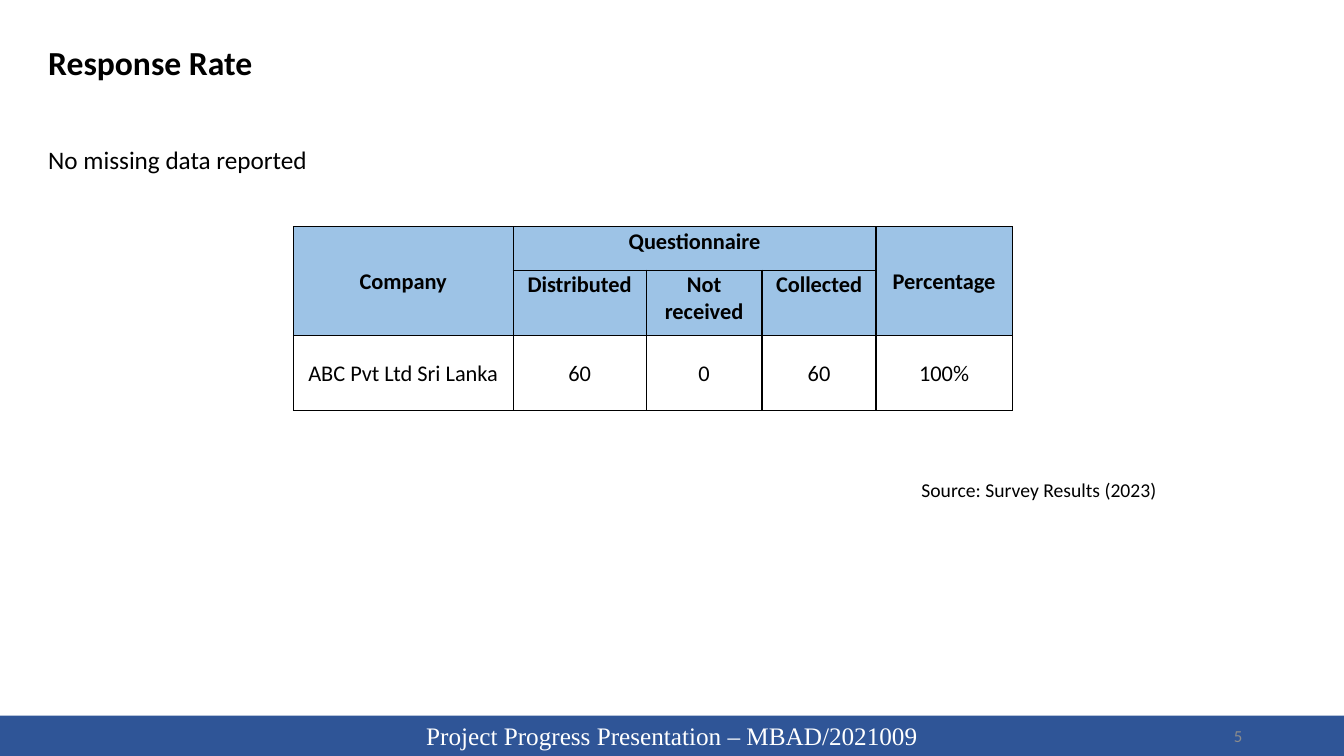
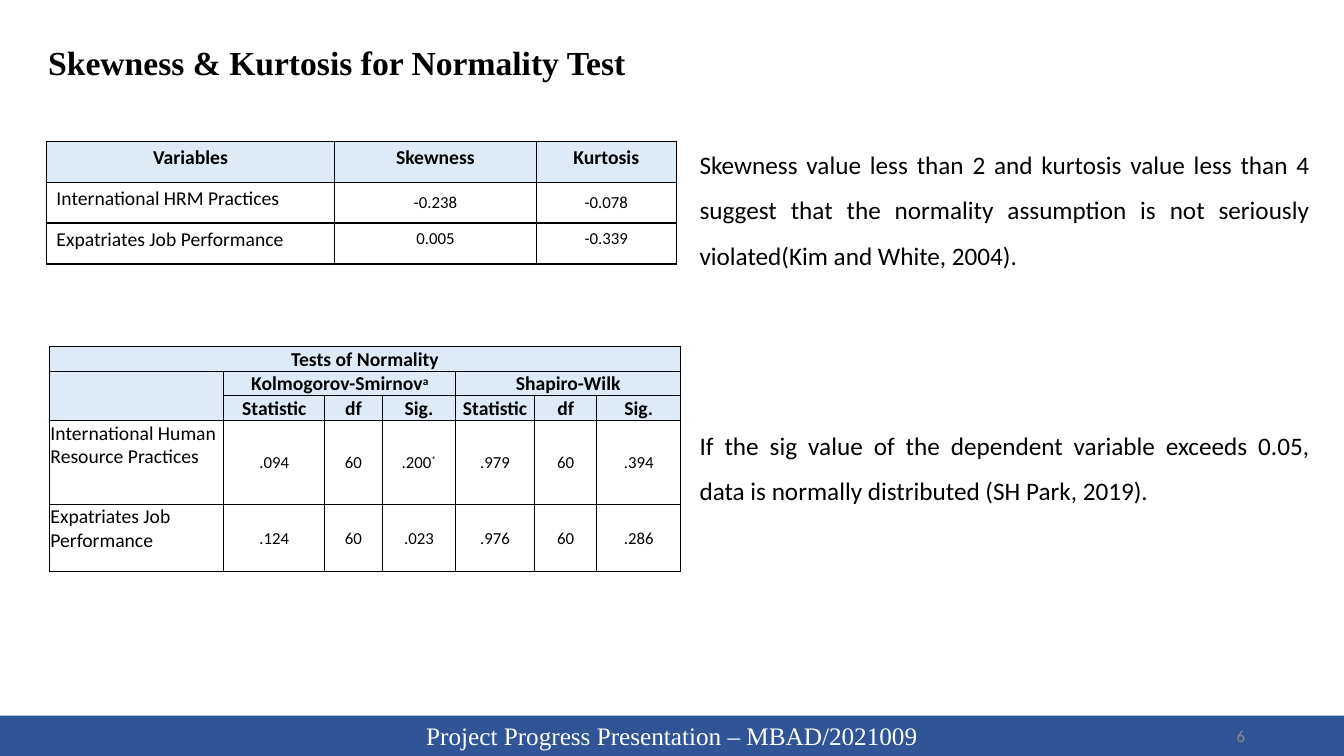
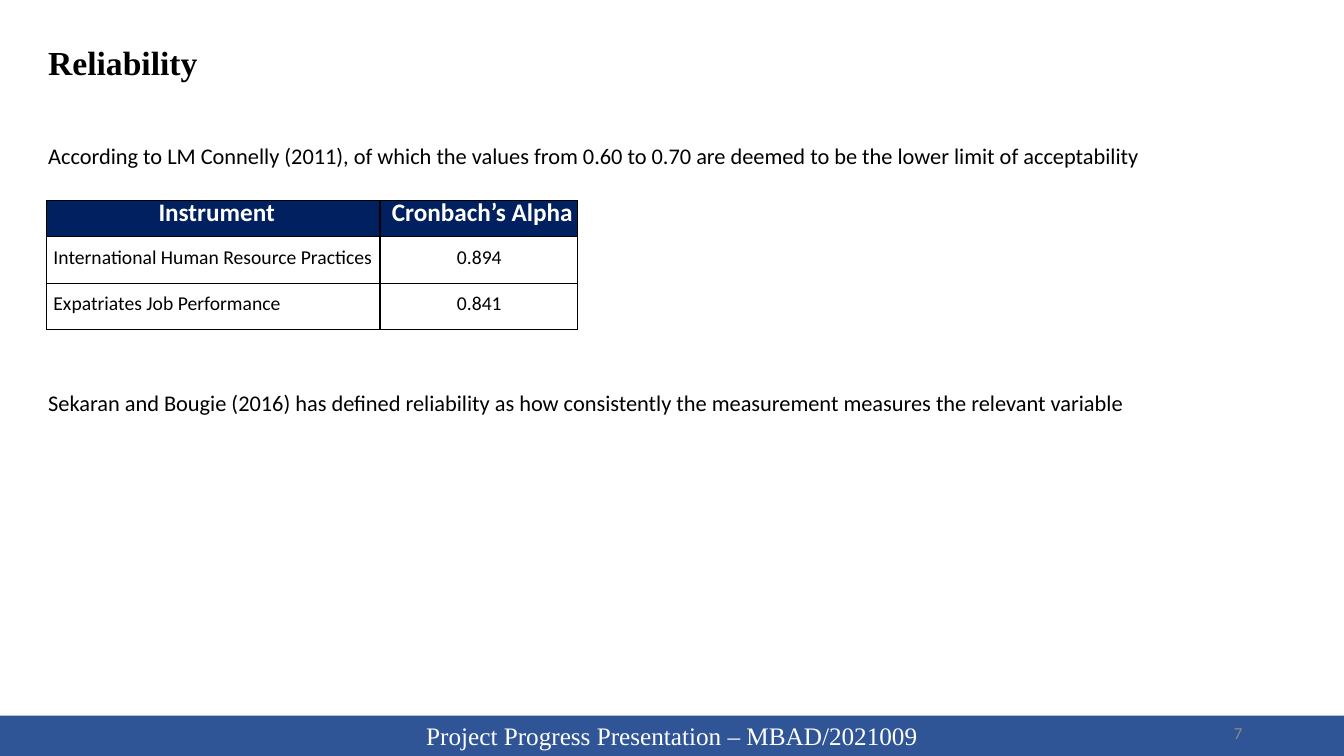
from dataclasses import dataclass, replace
from typing import Optional

from lxml.etree import SubElement
from pptx import Presentation
from pptx.dml.color import RGBColor
from pptx.enum.shapes import MSO_SHAPE
from pptx.enum.text import MSO_ANCHOR as Anchor, PP_ALIGN as Align
from pptx.oxml.ns import qn
from pptx.util import Inches, Pt

# Colours and fonts
BLACK = RGBColor(0x00, 0x00, 0x00)
WHITE = RGBColor(0xFF, 0xFF, 0xFF)
GREY = RGBColor(0x8C, 0x8C, 0x8C)
FOOTER_BLUE = RGBColor(0x2F, 0x55, 0x97)
MID_BLUE = RGBColor(0x9D, 0xC3, 0xE6)
PALE_BLUE = RGBColor(0xDE, 0xEB, 0xF7)
NAVY = RGBColor(0x00, 0x20, 0x60)
SANS = "Calibri"
SERIF = "Times New Roman"

# Grid of 100 columns by 100 rows
SLIDE_W, SLIDE_H = Inches(13.33), Inches(7.5)
MARGIN = 2.85
FOOTER_TOP, FOOTER_H = 94.67, 5.33
TIGHT = (0.01, 0.01, 0.01, 0)
NORMAL = (0.1, 0.05, 0.1, 0.05)
NONE = (0, 0, 0, 0)


def gx(cols: float) -> int:
    return round(cols * SLIDE_W / 100)


def gy(rows: float) -> int:
    return round(rows * SLIDE_H / 100)


@dataclass(frozen=True)
class Style:
    size: float
    font: str = SANS
    color: RGBColor = BLACK
    bold: bool = False
    align: Align = Align.LEFT
    spacing: Optional[float] = None
    before: float = 0
    indent: float = 0


@dataclass(frozen=True)
class Box:
    left: float
    top: float
    width: float
    height: float


@dataclass(frozen=True)
class Cell:
    text: str
    style: Style
    anchor: Anchor = Anchor.MIDDLE
    fill: Optional[RGBColor] = None
    sup: str = ""
    rows: int = 1
    cols: int = 1


@dataclass(frozen=True)
class Grid:
    left: float
    top: float
    cols: tuple
    rows: tuple
    insets: tuple
    cells: list


TITLE = Style(24, SERIF, bold=True)
BODY = Style(18, align=Align.JUSTIFY, spacing=1.5)
NOTE = replace(BODY, size=16)


# Text
def add_run(p, text: str, st: Style, raised: bool = False) -> None:
    r = p.add_run()
    r.text = text
    f = r.font
    f.size, f.name, f.bold = Pt(st.size), st.font, st.bold
    f.color.rgb = st.color
    if raised:
        r._r.get_or_add_rPr().set("baseline", "30000")


def fill_paragraph(p, text: str, st: Style, sup: str = "") -> None:
    p.alignment = st.align
    p.space_before = Pt(st.before)
    if st.spacing:
        p.line_spacing = st.spacing
    if st.indent:
        p._p.get_or_add_pPr().set("marL", str(Inches(st.indent)))
    if text:
        add_run(p, text, st)
    if sup:
        add_run(p, sup, st, raised=True)


def add_text(s, box: Box, *paras: tuple, anchor: Anchor = Anchor.TOP) -> None:
    sp = s.shapes.add_textbox(gx(box.left), gy(box.top), gx(box.width), gy(box.height))
    tf = sp.text_frame
    tf.word_wrap = True
    tf.vertical_anchor = anchor
    for i, (text, st) in enumerate(paras):
        fill_paragraph(tf.add_paragraph() if i else tf.paragraphs[0], text, st)


# Tables
def add_borders(cell) -> None:
    tc_pr = cell._tc.get_or_add_tcPr()
    for i, side in enumerate(("lnL", "lnR", "lnT", "lnB")):
        ln = SubElement(tc_pr, qn(f"a:{side}"), w=str(Pt(1)))
        SubElement(SubElement(ln, qn("a:solidFill")), qn("a:srgbClr"), val=str(BLACK))
        tc_pr.insert(i, ln)


def add_grid(s, g: Grid) -> None:
    frame = s.shapes.add_table(len(g.rows), len(g.cols), gx(g.left), gy(g.top),
                               gx(sum(g.cols)), gy(sum(g.rows)))
    tbl = frame.table
    tbl.first_row = tbl.horz_banding = False
    for col, width in zip(tbl.columns, g.cols):
        col.width = gx(width)
    for row, height in zip(tbl.rows, g.rows):
        row.height = gy(height)
    for i, row in enumerate(g.cells):
        for j, c in enumerate(row):
            cell = tbl.cell(i, j)
            (cell.margin_left, cell.margin_top,
             cell.margin_right, cell.margin_bottom) = map(Inches, g.insets)
            if c is None:
                cell.fill.background()
            else:
                if c.rows * c.cols > 1:
                    cell.merge(tbl.cell(i + c.rows - 1, j + c.cols - 1))
                cell.vertical_anchor = c.anchor
                if c.fill is None:
                    cell.fill.background()
                else:
                    cell.fill.solid()
                    cell.fill.fore_color.rgb = c.fill
                fill_paragraph(cell.text_frame.paragraphs[0], c.text, c.style, c.sup)
            add_borders(cell)


# Slide frame: footer band and page number
def new_slide(prs, number: str, num_left: float = 70.67, num_top: float = FOOTER_TOP):
    s = prs.slides.add_slide(prs.slide_layouts[6])
    sp = s.shapes.add_shape(MSO_SHAPE.RECTANGLE, 0, gy(FOOTER_TOP), SLIDE_W, gy(FOOTER_H))
    sp.shadow.inherit = False
    sp.fill.solid()
    sp.fill.fore_color.rgb = FOOTER_BLUE
    sp.line.fill.background()
    fill_paragraph(sp.text_frame.paragraphs[0], "Project Progress Presentation – MBAD/2021009",
                   Style(18, SERIF, WHITE, align=Align.CENTER))
    add_text(s, Box(num_left, num_top, 22.5, FOOTER_H),
             (number, Style(12, color=GREY, align=Align.RIGHT)), anchor=Anchor.MIDDLE)
    return s


def title_box(height: float) -> Box:
    return Box(MARGIN, 4.93, 95.35, height)


def response_rate(prs) -> None:
    s = new_slide(prs, "5")
    add_text(s, title_box(55.2), ("Response Rate", replace(TITLE, font=SANS)),
             ("No missing data reported", replace(BODY, before=33)))
    value = Style(16, align=Align.CENTER)
    head = replace(value, bold=True)
    labels = ("Distributed", "Not received", "Collected")
    values = ("ABC Pvt Ltd Sri Lanka", "60", "0", "60", "100%")
    add_grid(s, Grid(21.83, 30, (16.35, 9.9, 8.63, 8.48, 10.13), (5.73, 8.67, 9.87), TIGHT, [
        [Cell("Company", head, fill=MID_BLUE, rows=2),
         Cell("Questionnaire", head, Anchor.TOP, MID_BLUE, cols=3), None, None,
         Cell("Percentage", head, fill=MID_BLUE, rows=2)],
        [None, *(Cell(t, head, Anchor.TOP, MID_BLUE) for t in labels), None],
        [Cell(t, value, fill=WHITE) for t in values],
    ]))
    add_text(s, Box(67.82, 62.53, 24, 4.53), ("Source: Survey Results (2023)", Style(14)))


def normality(prs) -> None:
    s = new_slide(prs, "6", num_left=70.89)
    add_text(s, title_box(49.2), ("Skewness & Kurtosis for Normality Test", TITLE))
    label = Style(14)
    head = Style(14, bold=True, align=Align.CENTER)
    value = Style(12, align=Align.CENTER)

    # Skewness and kurtosis
    measures = (
        ("International HRM Practices", ("-0.238", "-0.078"), Anchor.MIDDLE),
        ("Expatriates Job Performance", ("0.005", "-0.339"), Anchor.TOP),
    )
    add_grid(s, Grid(3.45, 18.67, (21.45, 15, 10.43), (5.42,) * 3, NORMAL, [
        [Cell(t, head, Anchor.TOP, PALE_BLUE) for t in ("Variables", "Skewness", "Kurtosis")],
        *([Cell(name, label, Anchor.TOP), *(Cell(v, value, anchor) for v in values)]
          for name, values, anchor in measures),
    ]))

    # Tests of normality
    tests = (
        ("International Human Resource Practices",
         (".094", "60", (".200", "*"), ".979", "60", ".394")),
        ("Expatriates Job Performance", (".124", "60", ".023", ".976", "60", ".286")),
    )

    def value_cell(v) -> Cell:
        text, sup = v if isinstance(v, tuple) else (v, "")
        return Cell(text, value, fill=WHITE, sup=sup)

    add_grid(s, Grid(
        3.68, 45.87, (12.98, 7.5, 4.28, 5.48, 5.85, 4.65, 6.23),
        (3.25, 3.25, 3.25, 11.07, 8.93), TIGHT, [
            [Cell("Tests of Normality", head, fill=PALE_BLUE, cols=7), *[None] * 6],
            [Cell("", head, fill=PALE_BLUE, rows=2),
             Cell("Kolmogorov-Smirnov", head, Anchor.BOTTOM, PALE_BLUE, sup="a", cols=3),
             None, None,
             Cell("Shapiro-Wilk", head, Anchor.BOTTOM, PALE_BLUE, cols=3), None, None],
            [None, *(Cell(t, head, Anchor.BOTTOM, PALE_BLUE)
                     for t in ("Statistic", "df", "Sig.") * 2)],
            *([Cell(name, label, Anchor.TOP), *map(value_cell, values)]
              for name, values in tests),
        ]))

    # Readings beside the tables
    add_text(s, Box(51.31, 17.07, 46.88, 19.47), (
        "Skewness value less than 2 and kurtosis value less than 4 suggest that the "
        "normality assumption is not seriously violated(Kim and White, 2004).", BODY))
    add_text(s, Box(51.31, 54.27, 46.88, 12.8), (
        "If the sig value of the dependent variable exceeds 0.05, data is normally "
        "distributed (SH Park, 2019).", BODY))


def reliability(prs) -> None:
    s = new_slide(prs, "7", num_top=94.27)
    add_text(s, title_box(43.07), ("Reliability", TITLE), (
        "According to LM Connelly (2011), of which the values from 0.60 to 0.70 are deemed "
        "to be the lower limit of acceptability", replace(NOTE, before=33)))
    label = Style(14, spacing=Pt(13.8), indent=0.07)
    value = replace(label, align=Align.CENTER, indent=0.01)
    head = replace(label, size=18, color=WHITE, bold=True, align=Align.CENTER)
    alphas = (("International Human Resource Practices", "0.894"),
              ("Expatriates Job Performance", "0.841"))
    add_grid(s, Grid(3.45, 26.53, (24.83, 14.7), (4.8, 6.13, 6.13), NONE, [
        [Cell(t, head, fill=NAVY) for t in ("Instrument", "Cronbach’s Alpha")],
        *([Cell(name, label), Cell(alpha, value)] for name, alpha in alphas),
    ]))
    add_text(s, Box(MARGIN, 47.2, 91.52, 7.47), (
        "Sekaran and Bougie (2016) has defined reliability as how consistently the "
        "measurement measures the relevant variable", replace(NOTE, spacing=2.0)))


def main() -> None:
    prs = Presentation()
    prs.slide_width, prs.slide_height = SLIDE_W, SLIDE_H
    for build in (response_rate, normality, reliability):
        build(prs)
    prs.save("out.pptx")


if __name__ == "__main__":
    main()
